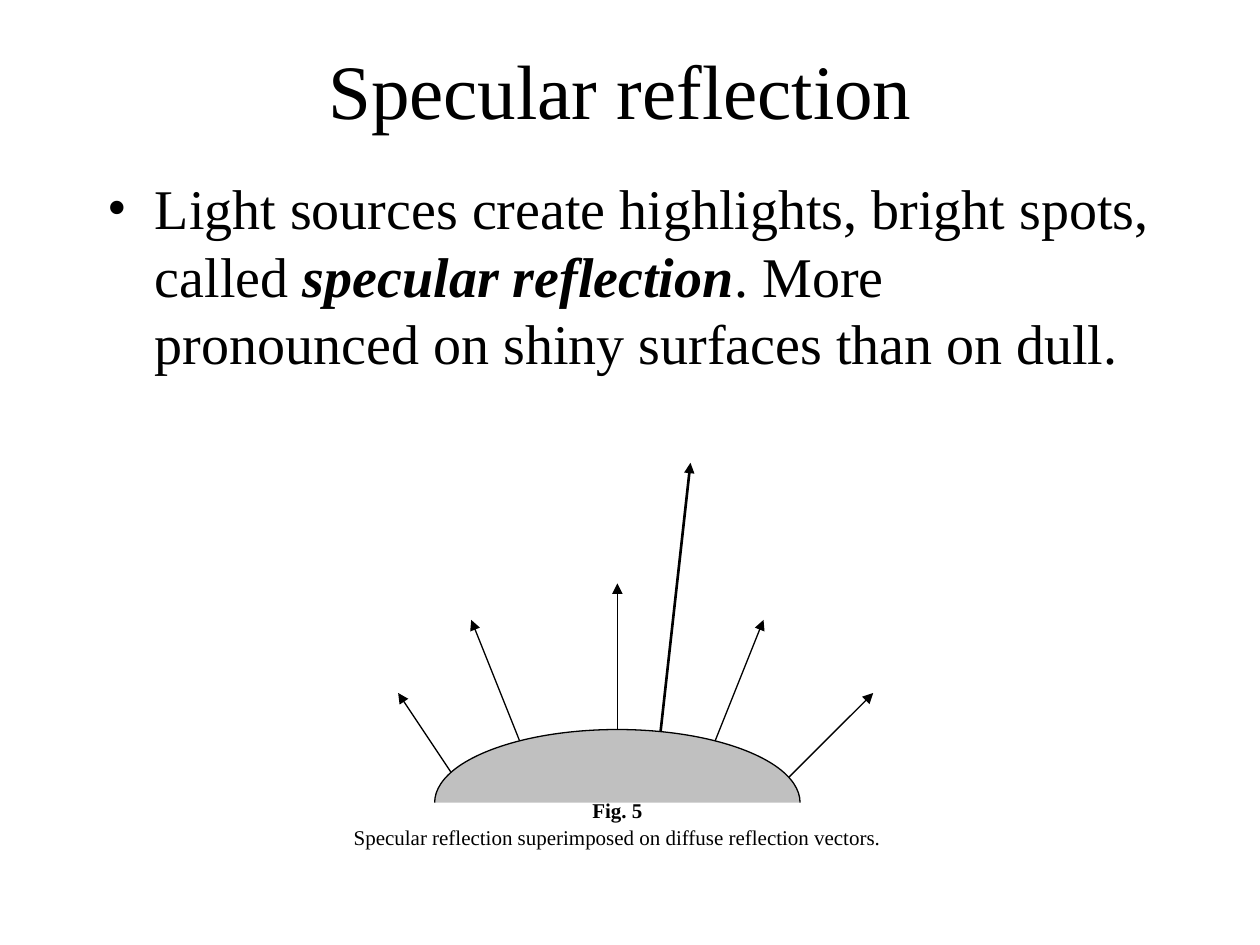
from dataclasses import dataclass

from lxml.etree import SubElement
from pptx import Presentation
from pptx.dml.color import RGBColor
from pptx.enum.shapes import MSO_CONNECTOR, MSO_SHAPE
from pptx.enum.text import MSO_ANCHOR, MSO_AUTO_SIZE, PP_ALIGN
from pptx.oxml.ns import qn
from pptx.util import Inches, Pt


@dataclass(frozen=True)
class Theme:
    font: str = "Times New Roman"
    ink: RGBColor = RGBColor(0, 0, 0)
    paper: RGBColor = RGBColor(255, 255, 255)
    surface: RGBColor = RGBColor(192, 192, 192)
    title_size: int = 44
    body_size: int = 32
    caption_size: int = 12
    thin: float = 0.75
    thick: float = 1.5


THEME = Theme()
UNIT = 0.29
CENTER_X = 4.9
HORIZON_Y = 6.37
DIFFUSE_RAYS = [
    ((4, 0), (7, 3)),
    ((2, 0), (4, 5)),
    ((0, 0), (0, 6)),
    ((-2, 0), (-4, 5)),
    ((-4, 0), (-6, 3)),
]
SPECULAR_RAY = ((1, 0.3), (2, 9.3))


def grid_point(column, row):
    return Inches(CENTER_X + column * UNIT), Inches(HORIZON_Y - row * UNIT)


def grid_box(column, row, columns, rows):
    return *grid_point(column, row), Inches(columns * UNIT), Inches(rows * UNIT)


def add_text(paragraph, text, size, bold=False, italic=False):
    run = paragraph.add_run()
    run.text = text
    font = run.font
    font.name = THEME.font
    font.size = Pt(size)
    font.bold = bold
    font.italic = italic
    font.color.rgb = THEME.ink


def add_bullet(paragraph, indent):
    properties = paragraph._p.get_or_add_pPr()
    properties.set("marL", str(Inches(indent)))
    properties.set("indent", str(-Inches(indent)))
    SubElement(properties, qn("a:buFont")).set("typeface", THEME.font)
    SubElement(properties, qn("a:buChar")).set("char", "•")


def place_placeholder(shape, top, height, anchor):
    shape.left, shape.top = Inches(0.75), Inches(top)
    shape.width, shape.height = Inches(8.5), Inches(height)
    frame = shape.text_frame
    frame.word_wrap = True
    frame.auto_size = MSO_AUTO_SIZE.NONE
    frame.vertical_anchor = anchor
    paragraph = frame.paragraphs[0]
    paragraph.space_before = Pt(0)
    return paragraph


def add_ray(slide, start, end, width):
    ray = slide.shapes.add_connector(
        MSO_CONNECTOR.STRAIGHT, *grid_point(*start), *grid_point(*end)
    )
    ray.line.color.rgb = THEME.ink
    ray.line.width = Pt(width)
    SubElement(ray.line._get_or_add_ln(), qn("a:tailEnd")).set("type", "triangle")
    SubElement(ray._element.spPr, qn("a:effectLst"))


def add_area(slide, kind, box, fill, outlined=False):
    shape = slide.shapes.add_shape(kind, *box)
    shape.shadow.inherit = False
    shape.fill.solid()
    shape.fill.fore_color.rgb = fill
    if outlined:
        shape.line.color.rgb = THEME.ink
        shape.line.width = Pt(THEME.thin)
    else:
        shape.line.fill.background()


def add_caption(slide, label, description):
    frame = slide.shapes.add_textbox(*grid_box(-8, 0.3, 16, 7)).text_frame
    frame.word_wrap = True
    heading = frame.paragraphs[0]
    detail = frame.add_paragraph()
    detail.space_before = Pt(1)
    add_text(heading, label, THEME.caption_size, bold=True)
    add_text(detail, description, THEME.caption_size)
    for paragraph in frame.paragraphs:
        paragraph.alignment = PP_ALIGN.CENTER


def add_diagram(slide):
    add_ray(slide, *SPECULAR_RAY, THEME.thick)
    for start, end in DIFFUSE_RAYS:
        add_ray(slide, start, end, THEME.thin)
    add_area(slide, MSO_SHAPE.OVAL, grid_box(-5, 2, 10, 4), THEME.surface, outlined=True)
    add_area(slide, MSO_SHAPE.RECTANGLE, grid_box(-6, 0, 12, 3), THEME.paper)
    add_caption(slide, "Fig. 5", "Specular reflection superimposed on diffuse reflection vectors.")


def main():
    presentation = Presentation()
    presentation.slide_width, presentation.slide_height = Inches(10), Inches(7.5)
    slide = presentation.slides.add_slide(presentation.slide_layouts[1])

    title = place_placeholder(slide.shapes.title, 0.08, 1.25, MSO_ANCHOR.MIDDLE)
    title.alignment = PP_ALIGN.CENTER
    add_text(title, "Specular reflection ", THEME.title_size)

    body = place_placeholder(slide.placeholders[1], 1.33, 2.25, MSO_ANCHOR.TOP)
    add_bullet(body, 0.38)
    add_text(body, "Light sources create highlights, bright spots, called ", THEME.body_size)
    add_text(body, "specular reflection", THEME.body_size, bold=True, italic=True)
    add_text(body, ". More pronounced on shiny surfaces than on dull.", THEME.body_size)

    add_diagram(slide)
    presentation.save("out.pptx")


if __name__ == "__main__":
    main()
